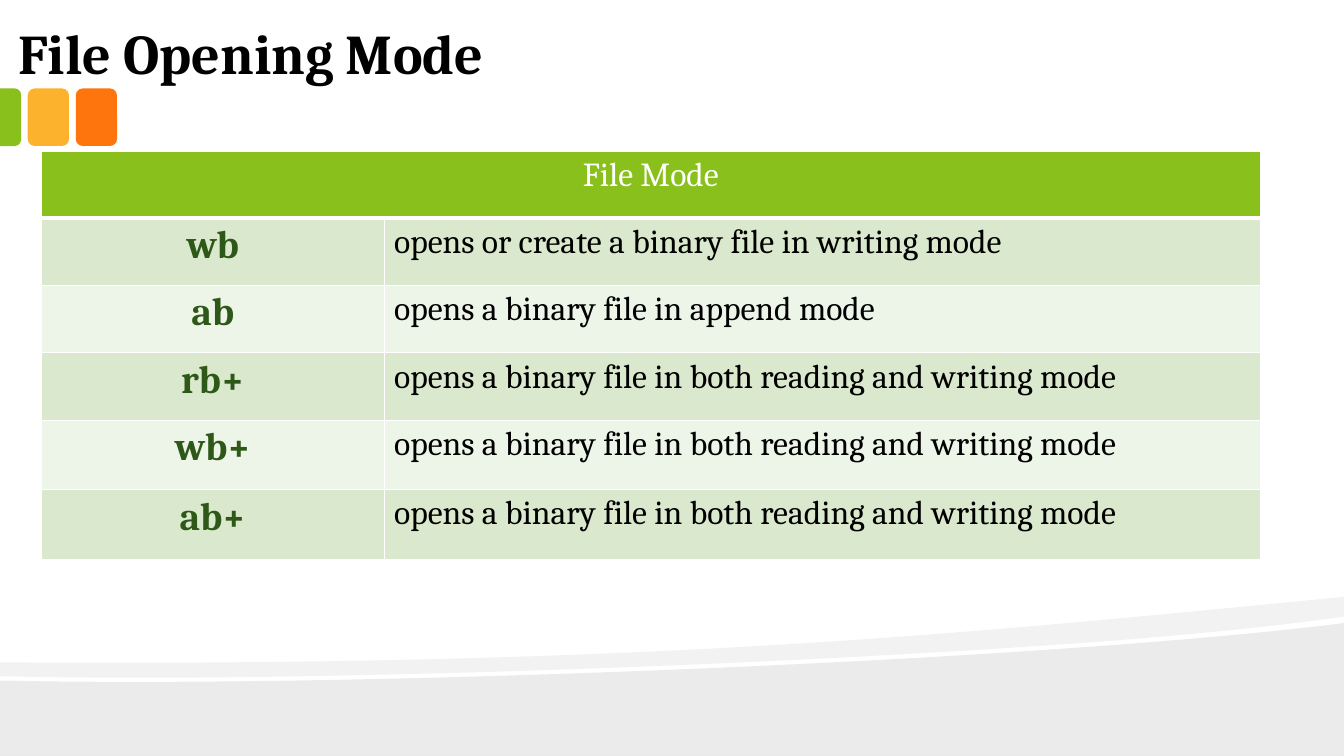
from lxml.etree import SubElement
from pptx import Presentation
from pptx.dml.color import RGBColor
from pptx.enum.shapes import MSO_SHAPE as SHAPE
from pptx.enum.text import MSO_ANCHOR as ANCHOR, PP_ALIGN as ALIGN
from pptx.oxml.ns import qn
from pptx.util import Cm, Pt

COLORS = {
    "black": "000000",
    "white": "FFFFFF",
    "green": "89C01C",
    "amber": "FCB22C",
    "orange": "FE750E",
    "mode": "2E5818",
    "band_dark": "DAE8CD",
    "band_light": "EDF4E8",
}
FONT = "Cambria"
WIDTH, HEIGHT = 33.87, 19.05

BOTH = "opens a binary file in both reading and writing mode"
MODES = [
    ("wb", "opens or create a binary file in writing mode"),
    ("ab", "opens a binary file in append mode"),
    ("rb+", BOTH),
    ("wb+", BOTH),
    ("ab+", BOTH),
]
ROW_HEIGHTS = [1.68, 1.7, 1.7, 1.7, 1.75, 1.75]
COL_WIDTHS = [8.64, 22.08]

FRONT_WAVE = [
    ((WIDTH, 15.7), [
        [(WIDTH, HEIGHT)],
        [(0, HEIGHT)],
        [(0, 17.15)],
        [(8.94, 17.35), (26.47, 16.64), (WIDTH, 15.7)],
    ]),
]
BACK_WAVE = [
    ((0, HEIGHT), [[(WIDTH, HEIGHT)]]),
    ((WIDTH, 15.04), [
        [(WIDTH, 15.54)],
        [(31.88, 15.82), (29.18, 16.08), (26.14, 16.28)],
        [(17.73, 16.84), (6.55, 17.2), (0, 17.04)],
        [(0, 16.69)],
        [(16.56, 16.81), (24.66, 15.93), (WIDTH, 15.04)],
    ]),
]


def rgb(name):
    return RGBColor.from_string(COLORS[name])


def paint(sp, color):
    sp.shadow.inherit = False
    sp.fill.solid()
    sp.fill.fore_color.rgb = rgb(color)
    sp.line.fill.background()


def format_text(tf, text, size, color, bold=False, align=ALIGN.LEFT):
    p = tf.paragraphs[0]
    p.text = text
    p.alignment = align
    p.font.name = FONT
    p.font.size = Pt(size)
    p.font.bold = bold
    p.font.color.rgb = rgb(color)


def bend(sp, segments):
    lines = list(sp._element.iter(qn("a:lnTo")))
    for line, segment in zip(lines, segments):
        controls = segment[:-1]
        if controls:
            line.tag = qn("a:cubicBezTo")
            end = line[0]
            for x, y in controls:
                SubElement(line, qn("a:pt"), x=str(Cm(x) - sp.left), y=str(Cm(y) - sp.top))
            line.append(end)


def add_wave(slide, contours, opacity):
    first = contours[0][0]
    builder = slide.shapes.build_freeform(Cm(first[0]), Cm(first[1]), scale=1.0)
    for start, segments in contours:
        if start != first:
            builder.move_to(Cm(start[0]), Cm(start[1]))
        ends = [(Cm(x), Cm(y)) for *_, (x, y) in segments]
        builder.add_line_segments(ends, close=True)
    sp = builder.convert_to_shape()
    bend(sp, [segment for _, segments in contours for segment in segments])
    paint(sp, "black")
    clr = sp.fill._xPr.find(qn("a:solidFill"))[0]
    SubElement(clr, qn("a:alpha"), val=str(opacity * 1000))


def add_tab(slide, kind, left, top, width, height, color):
    sp = slide.shapes.add_shape(kind, Cm(left), Cm(top), Cm(width), Cm(height))
    paint(sp, color)
    return sp


def add_tabs(slide):
    for left, color in ((1.91, "orange"), (0.7, "amber")):
        add_tab(slide, SHAPE.ROUNDED_RECTANGLE, left, 2.23, 1.04, 1.45, color)
    sp = add_tab(slide, SHAPE.ROUND_2_SAME_RECTANGLE, -0.46, 2.69, 1.45, 0.53, "green")
    sp.rotation = 90
    sp.adjustments[0] = 0.29


def add_title(slide, text):
    sp = slide.shapes.title
    sp.left, sp.top, sp.width, sp.height = Cm(0.2), Cm(0.33), Cm(20.12), Cm(1.96)
    sp.text_frame.vertical_anchor = ANCHOR.TOP
    format_text(sp.text_frame, text, 40, "black", bold=True)


def style_cell(cell, fill, top=1, bottom=1):
    tcPr = cell._tc.get_or_add_tcPr()
    for side, width in (("L", 1), ("R", 1), ("T", top), ("B", bottom)):
        ln = SubElement(tcPr, qn(f"a:ln{side}"), w=str(Pt(width)))
        SubElement(SubElement(ln, qn("a:solidFill")), qn("a:srgbClr"), val=COLORS["white"])
    cell.fill.solid()
    cell.fill.fore_color.rgb = rgb(fill)


def add_mode_table(slide):
    frame = slide.shapes.add_table(
        len(ROW_HEIGHTS), len(COL_WIDTHS), Cm(1.04), Cm(3.81),
        Cm(sum(COL_WIDTHS)), Cm(sum(ROW_HEIGHTS)))
    table = frame.table
    table.horz_banding = False
    for column, width in zip(table.columns, COL_WIDTHS):
        column.width = Cm(width)
    for row, height in zip(table.rows, ROW_HEIGHTS):
        row.height = Cm(height)

    header = table.cell(0, 0)
    header.merge(table.cell(0, 1))
    for cell in table.rows[0].cells:
        style_cell(cell, "green", bottom=3)
    format_text(header.text_frame, "File Mode", 24, "white", align=ALIGN.CENTER)

    for i, (mode, meaning) in enumerate(MODES, 1):
        name, description = table.rows[i].cells
        for cell in (name, description):
            style_cell(cell, "band_dark" if i % 2 else "band_light", top=3 if i == 1 else 1)
        format_text(name.text_frame, mode, 28, "mode", bold=True, align=ALIGN.CENTER)
        format_text(description.text_frame, meaning, 24, "black")


def main():
    prs = Presentation()
    prs.slide_width, prs.slide_height = Cm(WIDTH), Cm(HEIGHT)
    slide = prs.slides.add_slide(prs.slide_layouts[5])
    add_wave(slide, FRONT_WAVE, 8)
    add_wave(slide, BACK_WAVE, 5)
    add_tabs(slide)
    add_title(slide, "File Opening Mode")
    add_mode_table(slide)
    prs.save("out.pptx")


if __name__ == "__main__":
    main()
